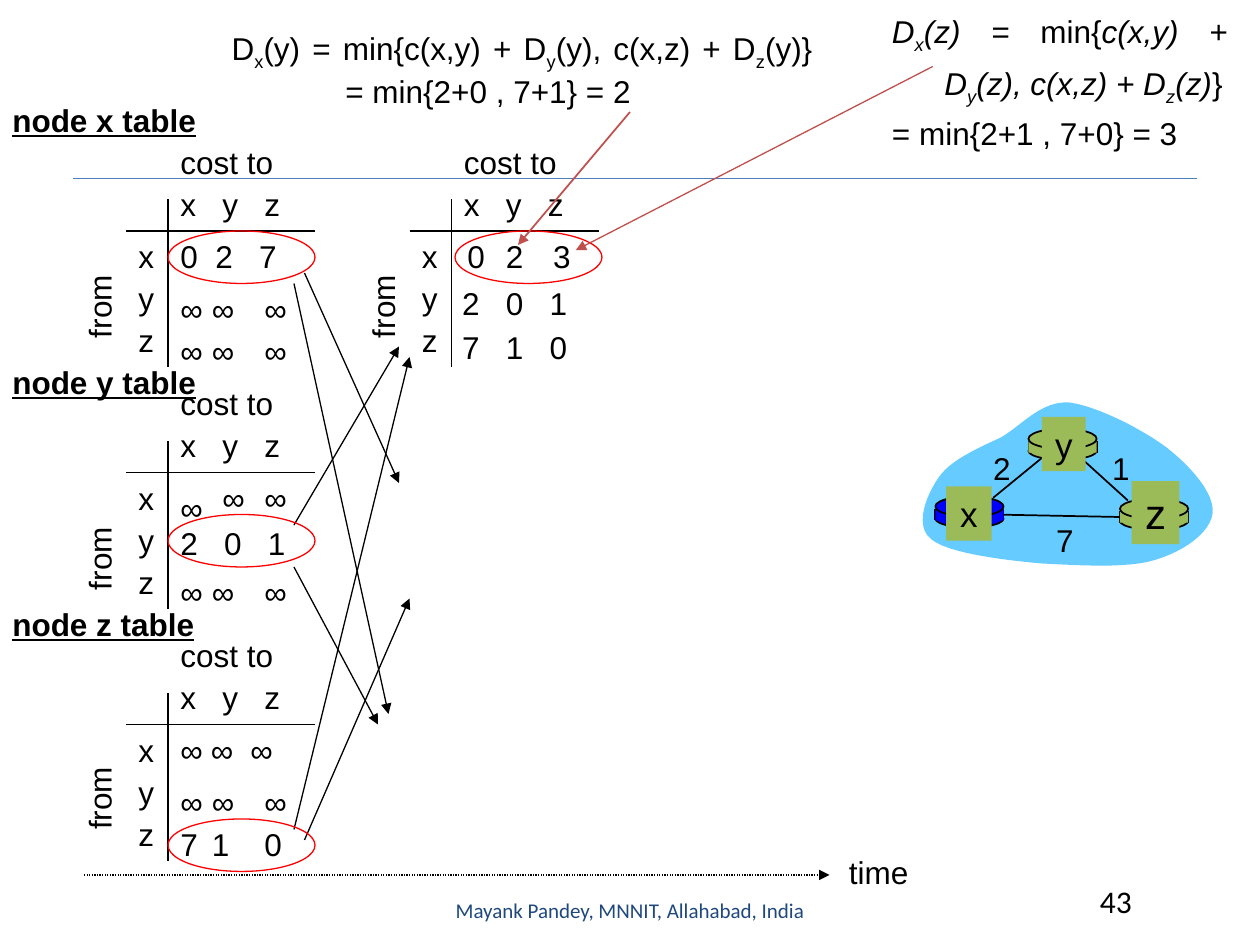
from typing import NamedTuple
from lxml import etree
from pptx import Presentation
from pptx.dml.color import RGBColor
from pptx.enum.dml import MSO_LINE
from pptx.enum.shapes import MSO_CONNECTOR, MSO_SHAPE
from pptx.enum.text import MSO_ANCHOR, PP_ALIGN
from pptx.oxml.ns import qn
from pptx.util import Pt

STRAIGHT, DOTTED = MSO_CONNECTOR.STRAIGHT, MSO_LINE.ROUND_DOT
OVAL, RECTANGLE = MSO_SHAPE.OVAL, MSO_SHAPE.RECTANGLE
LEFT, CENTER, JUSTIFY = PP_ALIGN.LEFT, PP_ALIGN.CENTER, PP_ALIGN.JUSTIFY
TOP, MIDDLE = MSO_ANCHOR.TOP, MSO_ANCHOR.MIDDLE
BLACK, RED, BRICK, RULE = "000000", "FF0000", "C0504D", "4B7EBC"
GREEN, BLUE, SKY, NAVY = "9BBB59", "0000FF", "66CCFF", "1F497D"

class Span(NamedTuple):
    text: str
    italic: bool = False
    low: bool = False

class Row(NamedTuple):
    left: float
    top: float
    text: str
    tabs: tuple = ()

class Table(NamedTuple):
    left: float
    top: float
    from_drop: float
    rows: list

class Router(NamedTuple):
    name: str
    left: float
    top: float
    color: str
    size: int
    label: tuple

INFINITE = "∞\t∞\t∞"
HEADER_TABS, WIDE_TABS, SPLIT_TABS = (24, 48), (25, 50), (18, 48)
TABLES = [
    Table(96, 132, 26, [Row(96, 132, "0\t2\t7", (20, 45)), Row(96, 162, INFINITE, SPLIT_TABS),
                        Row(96, 186, INFINITE, SPLIT_TABS)]),
    Table(258, 132, 26, [Row(260, 132, "0\t2\t3", (22, 49)), Row(257, 159, "2\t0\t1", WIDE_TABS),
                         Row(257, 184, "7\t1\t0", WIDE_TABS)]),
    Table(96, 270, 32, [Row(120, 270, "∞\t∞", (24,)), Row(96, 276, "∞"),
                        Row(96, 296, "2\t0\t1", WIDE_TABS), Row(96, 324, INFINITE, SPLIT_TABS)]),
    Table(96, 414, 25, [Row(96, 414, INFINITE, (17.5, 40)), Row(96, 444, INFINITE, SPLIT_TABS),
                        Row(96, 468, "7\t1\t0", SPLIT_TABS)]),
]
ROUTERS = [Router("x", 534.5, 283.7, BLUE, 20, (540.7, 278, 26, 31)),
           Router("z", 640, 285, GREEN, 24, (646.6, 275, 27.4, 36)),
           Router("y", 587.7, 245, GREEN, 20, (595.4, 238.3, 25, 31))]
TITLES = [("node x table", 54), ("node y table", 204), ("node z table", 342)]
COSTS = [("1", 628, 253), ("2", 560, 253), ("7", 596, 294)]
RINGS = [(96, 132), (96, 294), (96, 468), (260, 132)]
EXCHANGES = [(174, 156, 228, 276), (168, 162, 222, 408), (168, 300, 228, 198),
             (168, 324, 216, 414), (168, 474, 234, 204), (174, 480, 234, 342)]
CLOUD_START = (536.4, 272.9)
CLOUD_CURVES = [
    ((543, 263), (559, 256), (572, 250)), ((584, 243), (595, 229), (611, 230)),
    ((627, 232), (654, 246), (667, 256)), ((681, 267), (694, 282), (693, 293)),
    ((692, 304), (677, 315), (660, 320)), ((644, 325), (616, 323), (595, 322)),
    ((573, 320), (541, 316), (532, 308)), ((522, 300), (530, 282), CLOUD_START),
]
Y_FORMULA = [Span("D"), Span("x", low=True), Span("(y) = min{c(x,y) + D"), Span("y", low=True),
             Span("(y), c(x,z) + D"), Span("z", low=True), Span("(y)}"), None,
             Span("= min{2+0 , 7+1} = 2")]
Z_FORMULA = [Span("D", True), Span("x", True, True), Span("(z) = ", True), Span("min{"),
             Span("c(x,y) +", True), None, Span("D", True), Span("y", True, True),
             Span("(z), c(x,z) + D", True), Span("z", True, True), Span("(z)", True), Span("}")]
Z_RESULT = [Span("= min{2+1 , 7+0} = 3")]

def rgb(color: str) -> RGBColor:
    return RGBColor.from_string(color)

def style(font, color: str = BLACK, **values) -> None:
    for name, value in {"name": "Arial", "size": Pt(18), **values}.items():
        setattr(font, name, value)
    font.color.rgb = rgb(color)

def add_text(page, text: str, left: float, top: float, width: float, height: float = 29,
             tabs: tuple = (), align=LEFT, anchor=TOP, **values):
    box = page.shapes.add_textbox(Pt(left), Pt(top), Pt(width), Pt(height))
    box.text_frame.word_wrap = bool(tabs)
    box.text_frame.vertical_anchor = anchor
    para = box.text_frame.paragraphs[0]
    para.alignment = align
    span = para.add_run()
    span.text = text
    style(span.font, **values)
    if tabs:
        stops = etree.SubElement(para._p.get_or_add_pPr(), qn("a:tabLst"))
        for tab in tabs:
            etree.SubElement(stops, qn("a:tab"), pos=str(Pt(tab)), algn="l")
    return box

def add_formula(page, paragraphs: list, left: float, top: float, width: float, height: float,
                hang: float, spacing: float) -> None:
    box = page.shapes.add_textbox(Pt(left), Pt(top), Pt(width), Pt(height))
    frame = box.text_frame
    frame.word_wrap, frame.vertical_anchor = True, MIDDLE
    for index, spans in enumerate(paragraphs):
        para = frame.add_paragraph() if index else frame.paragraphs[0]
        para.alignment, para.line_spacing = JUSTIFY, spacing
        if None in spans:
            layout = para._p.get_or_add_pPr()
            layout.set("marL", str(Pt(hang)))
            layout.set("indent", str(-Pt(hang)))
        for part in spans:
            if part is None:
                para.add_line_break()
                continue
            span = para.add_run()
            span.text = part.text
            style(span.font, italic=part.italic)
            if part.low:
                span._r.get_or_add_rPr().set("baseline", "-25000")

def add_line(page, x1: float, y1: float, x2: float, y2: float, color: str = BLACK,
             weight: float = 0.75, arrow: bool = False, dash=None):
    line = page.shapes.add_connector(STRAIGHT, Pt(x1), Pt(y1), Pt(x2), Pt(y2))
    line.line.color.rgb, line.line.width = rgb(color), Pt(weight)
    if dash:
        line.line.dash_style = dash
    if arrow:
        etree.SubElement(line.line._get_or_add_ln(), qn("a:tailEnd"), type="triangle")
    etree.SubElement(line._element.spPr, qn("a:effectLst"))
    return line

def paint(shape, fill: str = "", outline: str = "", weight: float = 1):
    if fill:
        shape.fill.solid()
        shape.fill.fore_color.rgb = rgb(fill)
    else:
        shape.fill.background()
    if outline:
        shape.line.color.rgb, shape.line.width = rgb(outline), Pt(weight)
    else:
        shape.line.fill.background()
    shape.shadow.inherit = False
    return shape

def add_preset(page, kind, left: float, top: float, width: float, height: float, **look):
    return paint(page.shapes.add_shape(kind, Pt(left), Pt(top), Pt(width), Pt(height)), **look)

def add_cost_table(page, table: Table) -> None:
    x, y = table.left, table.top
    add_line(page, x, y - 18, x, y + 78)
    add_line(page, x - 24, y, x + 84, y)
    add_text(page, "cost to", x, y - 54, 74)
    add_text(page, "x\ty\tz", x, y - 30, 78, tabs=HEADER_TABS)
    for index, name in enumerate("xyz"):
        add_text(page, name, x - 24, y + 24 * index, 25)
    add_text(page, "from", x - 67, y + table.from_drop, 55.5).rotation = 270
    for row in table.rows:
        add_text(page, row.text, row.left, row.top, 78 if row.tabs else 29.5, tabs=row.tabs)

def add_router(page, router: Router):
    x, y, color = router.left, router.top, router.color
    add_preset(page, OVAL, x, y + 7.7, 39, 10, fill=color, outline=BLACK)
    for side in (x, x + 39):
        add_line(page, side, y + 7.2, side, y + 13.7, weight=1)
    body = add_preset(page, RECTANGLE, x, y + 7.2, 39, 6.5, fill=color)
    add_preset(page, OVAL, x, y, 39, 11.5, fill=color, outline=BLACK)
    paint(add_text(page, router.name, *router.label, align=CENTER, size=Pt(router.size)), fill=GREEN)
    return body

def add_cloud(page) -> None:
    points, start = [], CLOUD_START
    for first, second, end in CLOUD_CURVES:
        for t in (step / 12 for step in range(1, 13)):
            u = 1 - t
            points.append([Pt(u**3 * a + 3 * u * u * t * b + 3 * u * t * t * c + t**3 * d)
                           for a, b, c, d in zip(start, first, second, end)])
        start = end
    builder = page.shapes.build_freeform(*points[-1], scale=1.0)
    builder.add_line_segments(points, close=True)
    paint(builder.convert_to_shape(), fill=SKY)

def add_network(page) -> None:
    add_cloud(page)
    add_line(page, 567.5, 284.5, 595, 262, weight=1)
    add_line(page, 618, 262, 644.5, 286, weight=1)
    bodies = {router.name: add_router(page, router) for router in ROUTERS}
    link = add_line(page, 640, 295.5, 573.5, 294.2, weight=1)
    link.begin_connect(bodies["z"], 1)
    link.end_connect(bodies["x"], 3)
    for text, left, top in COSTS:
        add_text(page, text, left, top, 25, align=CENTER)

def main() -> None:
    deck = Presentation()
    deck.slide_width, deck.slide_height = Pt(720), Pt(540)
    page = deck.slides.add_slide(deck.slide_layouts[6])
    add_line(page, 42, 102, 684, 102, RULE)
    for table in TABLES:
        add_cost_table(page, table)
    for ends in EXCHANGES:
        add_line(page, *ends, arrow=True)
    add_line(page, 48, 500, 474, 500, arrow=True, dash=DOTTED)
    add_text(page, "time", 478, 484, 52)
    add_network(page)
    for text, top in TITLES:
        add_text(page, text, 0, top, 124, bold=True, underline=True)
    for left, top in RINGS:
        add_preset(page, OVAL, left, top, 84, 30, outline=RED, weight=0.75)
    add_formula(page, [Y_FORMULA], 125.3, 14.5, 346, 50, 65, 1.0)
    add_formula(page, [Z_FORMULA, Z_RESULT], 502.6, 2, 206, 85, 30, 1.2)
    add_line(page, 360, 64, 296, 140, BRICK, 1, arrow=True)
    add_line(page, 533, 38, 329, 143, BRICK, arrow=True)
    add_text(page, "Mayank Pandey, MNNIT, Allahabad, India", 246, 505.5, 228,
             align=CENTER, anchor=MIDDLE, color=NAVY, name="Calibri", size=Pt(12))
    add_text(page, "43", 621.4, 500.4, 62.6, name="Calibri")
    deck.save("out.pptx")

if __name__ == "__main__":
    main()
